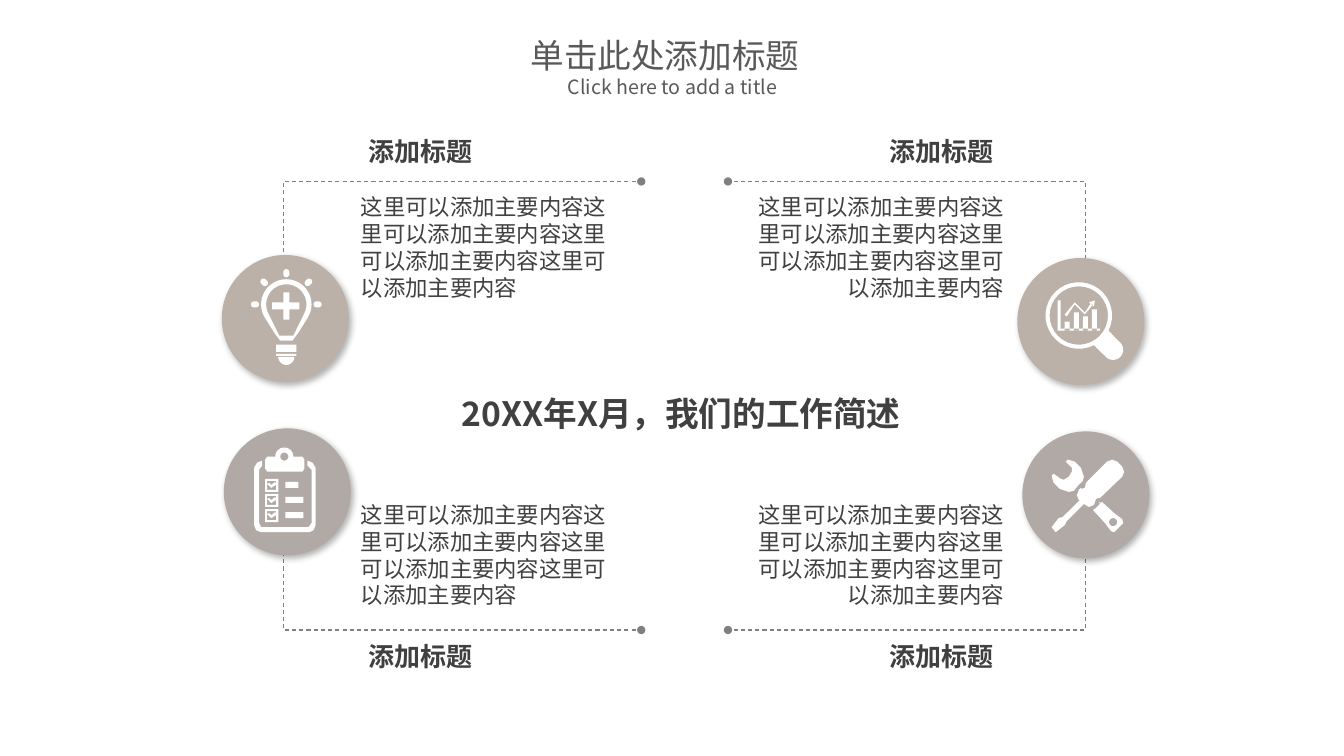
import math
from lxml import etree
from pptx import Presentation
from pptx import util as u
from pptx.dml.color import RGBColor
from pptx.enum import dml, shapes, text
from pptx.oxml import ns

PX = 9144
FONT = "Noto Sans CJK SC"
WHITE = RGBColor(0xFF, 0xFF, 0xFF)
TITLE_GREY = RGBColor(0x59, 0x59, 0x59)
TEXT_GREY = RGBColor(0x40, 0x40, 0x40)
LINE_GREY = RGBColor(0x7F, 0x7F, 0x7F)
SAND = RGBColor(0xBB, 0xB1, 0xA8)
STONE = RGBColor(0xB1, 0xA9, 0xA5)
HEADING = "添加标题"
BODY = "这里可以添加主要内容" * 4


def sub(parent, tag, **attributes):
    return etree.SubElement(parent, ns.qn(tag), attributes)


def place(part, left, top, width, height):
    part.left, part.top = left * PX, top * PX
    part.width, part.height = width * PX, height * PX


def style(paragraph, size, color, bold=False, align=text.PP_ALIGN.LEFT):
    paragraph.alignment = align
    paragraph.line_spacing = u.Pt(round(size * 1.2, 1))
    paragraph.space_before = u.Pt(0)
    for run in paragraph.runs:
        run.font.name = FONT
        run.font.size = u.Pt(size)
        run.font.bold = bold
        run.font.color.rgb = color
        sub(run.font._element, "a:ea", typeface=FONT)


def label(slide, box, words, size, bold=False, align=text.PP_ALIGN.LEFT):
    part = slide.shapes.add_textbox(*(n * PX for n in box))
    part.text_frame.word_wrap = True
    part.text_frame.text = words
    style(part.text_frame.paragraphs[0], size, TEXT_GREY, bold, align)


def outline(parent, contours, closed=True):
    first, *others = [[(x * PX, y * PX) for x, y in c] for c in contours]
    builder = parent.build_freeform(*first[0])
    builder.add_line_segments(first[1:], close=closed)
    for contour in others:
        builder.move_to(*contour[0])
        builder.add_line_segments(contour[1:], close=closed)
    part = builder.convert_to_shape()
    part.shadow.inherit = False
    return part


def arc(x, y, radius, start=0, end=360):
    steps = 32
    angles = [math.radians(start + (end - start) * i / steps) for i in range(steps + 1)]
    return [(x + radius * math.cos(a), y + radius * math.sin(a)) for a in angles]


def rect(left, top, right, bottom):
    return [(left, top), (right, top), (right, bottom), (left, bottom)]


def bulb():
    x, y = 64, 49
    rays = []
    for angle in range(180, 361, 45):
        dx, dy = math.cos(math.radians(angle)), math.sin(math.radians(angle))
        rays.append(arc(x + 32 * dx, y + 32 * dy, 3, angle - 90, angle + 90)
                    + arc(x + 30 * dx, y + 30 * dy, 3, angle + 90, angle + 270))
    plus = [(61, 37), (67, 37), (67, 47), (77, 47), (77, 54), (67, 54),
            (67, 64), (61, 64), (61, 54), (50, 54), (50, 47), (61, 47)]
    return rays + [
        arc(x, y, 25, 150, 390) + [(76, 77), (70, 85), (58, 85), (52, 77)],
        arc(x, y, 20, 150, 390) + [(71, 80), (57, 80)],
        plus, rect(54, 89, 74, 96), rect(54, 98, 74, 100), arc(x, 101, 8, 0, 180)]


def checklist():
    board = [(38, 32), (33, 34), (30, 39), (30, 96), (32, 101), (37, 103), (85, 103),
             (89, 101), (91, 96), (91, 39), (88, 34), (83, 32), (83, 37), (87, 41),
             (87, 94), (84, 98), (37, 98), (35, 94), (35, 41), (38, 37)]
    clip = [(43, 28)] + arc(60, 28, 9, 180, 360) + [
        (78, 28), (80, 31), (80, 40), (78, 43), (43, 43), (41, 40), (41, 31)]
    contours = [board, clip, arc(60, 28, 4)]
    tick = [(43, 55), (45, 54), (47, 56), (51, 53), (52, 56), (47, 59)]
    for row, bar_end in enumerate((74, 79, 79)):
        drop = 15 * row
        contours += [rect(41, 50 + drop, 54, 63 + drop), rect(43, 52 + drop, 52, 61 + drop),
                     [(x, y + drop) for x, y in tick],
                     rect(61, 53 + drop, bar_end, 59 + drop)]
    return contours


def magnifier():
    bars = [rect(47 + 9 * i, top, 52 + 9 * i, 72) for i, top in enumerate((63, 54, 58, 51))]
    trend = [(47, 56), (57, 44), (67, 54), (73, 45), (75, 46), (67, 56), (57, 46), (49, 58)]
    return bars + [
        arc(61, 57, 33, 63, 387) + arc(95, 91, 10, -45, 135), arc(61, 57, 29),
        rect(40, 42, 43, 70), rect(40, 70, 82, 72), trend, [(71, 44), (77, 42), (76, 48)]]


def tools():
    wrench = [(55, 54), (60, 49), (61, 45), (58, 36), (52, 30), (45, 28), (43, 30), (49, 36),
              (49, 40), (46, 45), (41, 48), (38, 47), (31, 42), (29, 44), (31, 51), (37, 57),
              (46, 60), (51, 59)]
    handle = [(76, 70), (77, 72), (73, 76), (70, 78), (82, 91), (88, 99), (91, 100),
              (100, 91), (99, 87), (91, 81), (79, 70), (78, 71)]
    screwdriver = [(99, 35), (94, 30), (89, 28), (84, 30), (63, 51), (62, 56), (59, 57),
                   (58, 56), (56, 58), (54, 63), (56, 68), (57, 68), (40, 85), (36, 86),
                   (29, 95), (33, 100), (42, 93), (44, 89), (61, 72), (66, 75), (71, 73),
                   (73, 67), (76, 66), (77, 66), (99, 45), (101, 40)]
    return [wrench, handle, arc(90, 90, 4), screwdriver]


def badge(slide, left, top, color, icon):
    group = slide.shapes.add_group_shape().shapes
    disc = group.add_shape(shapes.MSO_SHAPE.OVAL, left * PX, top * PX, 126 * PX, 126 * PX)
    disc.fill.solid()
    disc.fill.fore_color.rgb = color
    disc.line.fill.background()
    disc.shadow.inherit = False
    effects = disc._element.spPr.find(ns.qn("a:effectLst"))
    shadow = sub(effects, "a:outerShdw", blurRad=str(u.Pt(4.5)), dist=str(u.Pt(2.6)),
                 dir=str(53 * 60000), algn="tl", rotWithShape="0")
    sub(sub(shadow, "a:srgbClr", val="000000"), "a:alpha", val="30000")
    symbol = outline(group, [[(left + x, top + y) for x, y in c] for c in icon()])
    symbol.fill.solid()
    symbol.fill.fore_color.rgb = WHITE
    symbol.line.fill.background()


def bracket(slide, points):
    part = outline(slide.shapes, [points], closed=False)
    part.fill.background()
    part.line.color.rgb = LINE_GREY
    part.line.width = 0
    part.line.dash_style = dml.MSO_LINE.DASH
    for end in ("a:headEnd", "a:tailEnd"):
        sub(part.line._ln, end, type="oval")


def topic(slide, box, on_right, at_bottom, badge_offset, color, icon):
    left, top, width, height = box
    outer, inner = (left + width, left) if on_right else (left, left + width)
    near, far = (top, top + height) if at_bottom else (top + height, top)
    bracket(slide, [(outer, near), (outer, far), (inner, far)])
    badge(slide, left + badge_offset[0], top + badge_offset[1], color, icon)
    align = text.PP_ALIGN.RIGHT if on_right else text.PP_ALIGN.LEFT
    heading_left, body_left = (81, 1) if on_right else (75, 67)
    heading_top, body_top = (87, -52) if at_bottom else (-50, 7)
    label(slide, (left + heading_left, top + heading_top, 192, 43), HEADING, 18.6, True, align)
    label(slide, (left + body_left, top + body_top, 283, 118), BODY, 16, False, align)


def slide_title(slide, left, top, width, height):
    title = slide.shapes.title
    place(title, left, top, width, height)
    frame = title.text_frame
    frame.text = "单击此处添加标题\nClick here to add a title"
    frame.word_wrap = True
    frame.auto_size = text.MSO_AUTO_SIZE.NONE
    frame.vertical_anchor = text.MSO_ANCHOR.MIDDLE
    frame.margin_left = frame.margin_right = frame.margin_top = frame.margin_bottom = 0
    for paragraph, size in zip(frame.paragraphs, (24, 14)):
        style(paragraph, size, TITLE_GREY, align=text.PP_ALIGN.CENTER)
    frame.paragraphs[1]._p.get_or_add_pPr().set("marL", str(15 * PX))


def main():
    deck = Presentation()
    deck.slide_width, deck.slide_height = 1333 * PX, 750 * PX
    slide = deck.slides.add_slide(deck.slide_layouts[5])
    slide_title(slide, 388, 40, 543, 52)
    label(slide, (448, 385, 464, 53), "20XX年X月，我们的工作简述", 24, True)
    topic(slide, (281, 180, 355, 81), False, False, (-61, 73), SAND, bulb)
    topic(slide, (722, 180, 355, 81), True, False, (287, 76), SAND, magnifier)
    topic(slide, (281, 544, 355, 81), False, True, (-59, -119), STONE, checklist)
    topic(slide, (722, 544, 355, 81), True, True, (292, -116), STONE, tools)
    deck.save("out.pptx")


if __name__ == "__main__":
    main()
